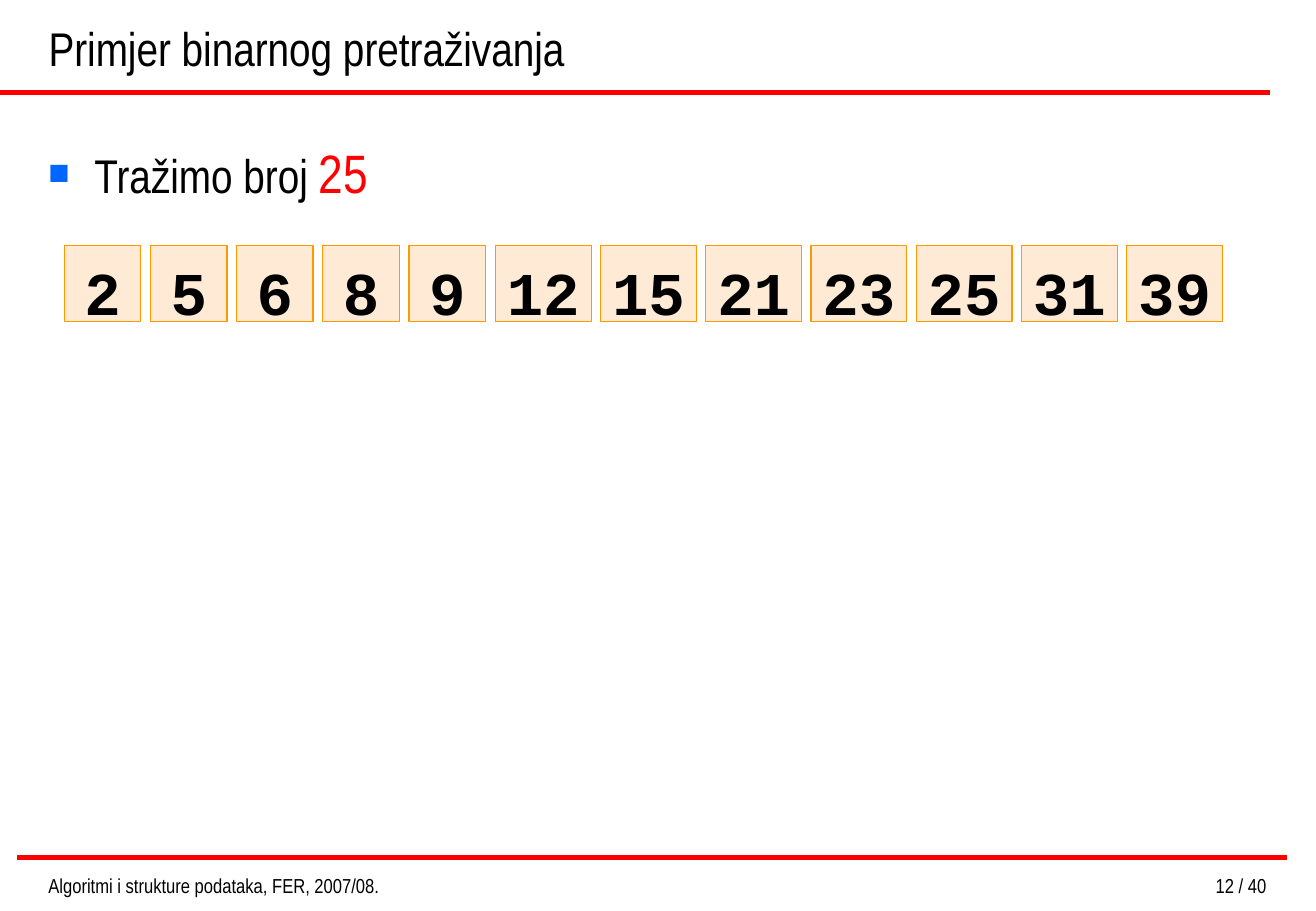
from lxml import etree
from pptx import Presentation
from pptx.dml.color import RGBColor
from pptx.enum.shapes import MSO_CONNECTOR as CONN, MSO_SHAPE as SHAPE
from pptx.enum.text import MSO_ANCHOR as ANCHOR, MSO_AUTO_SIZE as FIT, PP_ALIGN as ALIGN
from pptx.oxml.ns import qn
from pptx.util import Inches, Pt

COLORS = {
    "text": "000000",
    "accent": "FF0000",
    "bullet": "0066FF",
    "cell": "FFCC99",
    "border": "FF9900",
}


class SlideBuilder:
    body_font = "Arial Narrow"
    cell_font = "Courier New"

    def __init__(self, prs):
        self.s = prs.slides.add_slide(prs.slide_layouts[5])

    def color(self, name):
        return RGBColor.from_string(COLORS[name])

    def style(self, r, size, color="text", font=None, bold=False):
        r.font.name = font or self.body_font
        r.font.size = Pt(size)
        r.font.bold = bold
        r.font.color.rgb = self.color(color)

    def frame(self, sp, anchor, wrap=True, top=0.05):
        tf = sp.text_frame
        tf.auto_size = FIT.NONE
        tf.word_wrap = wrap
        tf.vertical_anchor = anchor
        tf.margin_left = tf.margin_right = Inches(0.1)
        tf.margin_top, tf.margin_bottom = Inches(top), Inches(0.05)
        return tf

    def title(self, text, left, top, width, height):
        sp = self.s.shapes.title
        sp.left, sp.top = Inches(left), Inches(top)
        sp.width, sp.height = Inches(width), Inches(height)
        tf = self.frame(sp, ANCHOR.BOTTOM)
        tf.text = text
        p = tf.paragraphs[0]
        p.alignment = ALIGN.LEFT
        self.style(p.runs[0], 28)

    def rule(self, left, right, y):
        line = self.s.shapes.add_connector(
            CONN.STRAIGHT, Inches(left), Inches(y), Inches(right), Inches(y))
        line.line.color.rgb = self.color("accent")
        line.line.width = Pt(3)
        etree.SubElement(line._element.spPr, qn("a:effectLst"))

    def text(self, runs, left, top, width, height, align=ALIGN.LEFT, bullet=False):
        sp = self.s.shapes.add_textbox(
            Inches(left), Inches(top), Inches(width), Inches(height))
        p = self.frame(sp, ANCHOR.TOP).paragraphs[0]
        p.alignment = align
        if bullet:
            self.bullet(p)
        for text, size, color in runs:
            r = p.add_run()
            r.text = text
            self.style(r, size, color)

    def bullet(self, p):
        pPr = p._p.get_or_add_pPr()
        pPr.set("marL", str(Inches(0.38)))
        pPr.set("indent", str(-Inches(0.38)))
        clr = etree.SubElement(pPr, qn("a:buClr"))
        etree.SubElement(clr, qn("a:srgbClr"), val=COLORS["bullet"])
        etree.SubElement(pPr, qn("a:buSzPct"), val="75000")
        etree.SubElement(pPr, qn("a:buFont"), typeface="Arial")
        etree.SubElement(pPr, qn("a:buChar"), char="■")

    def cell(self, number, left, top, width, height):
        sp = self.s.shapes.add_shape(
            SHAPE.RECTANGLE, Inches(left), Inches(top), Inches(width), Inches(height))
        sp.shadow.inherit = False
        sp.fill.solid()
        sp.fill.fore_color.rgb = self.color("cell")
        clr = sp._element.spPr.find(qn("a:solidFill")).find(qn("a:srgbClr"))
        etree.SubElement(clr, qn("a:alpha"), val="40000")
        sp.line.color.rgb = self.color("border")
        sp.line.width = Pt(0.75)
        tf = self.frame(sp, ANCHOR.MIDDLE, wrap=False, top=0.18)
        tf.text = str(number)
        p = tf.paragraphs[0]
        p.alignment = ALIGN.CENTER
        self.style(p.runs[0], 36, font=self.cell_font, bold=True)

    def cell_row(self, numbers, left, right, width):
        step = (right - left - width) / (len(numbers) - 1)
        for i, number in enumerate(numbers):
            self.cell(number, left + i * step, 2.02, width, 0.63)


def main():
    prs = Presentation()
    prs.slide_width, prs.slide_height = Inches(10.84), Inches(7.5)
    slide = SlideBuilder(prs)
    slide.rule(0, 10.46, 0.76)
    slide.rule(0.14, 10.6, 7.06)
    slide.title("Primjer binarnog pretraživanja", 0.3, 0, 10.16, 0.68)
    slide.text([("Tražimo broj ", 28, "text"), ("25", 32, "accent")],
               0.3, 1.1, 10.24, 5.8, bullet=True)
    slide.cell_row([2, 5, 6, 8, 9], 0.53, 4, 0.63)
    slide.cell_row([12, 15, 21, 23, 25, 31, 39], 4.08, 10.07, 0.79)
    slide.text([("Algoritmi i strukture podataka, FER, 2007/08.", 12, "text")],
               0.3, 7.14, 3.78, 0.24)
    slide.text([("12 / 40", 12, "text")], 7.76, 7.14, 2.77, 0.24, ALIGN.RIGHT)
    prs.save("out.pptx")


if __name__ == "__main__":
    main()
